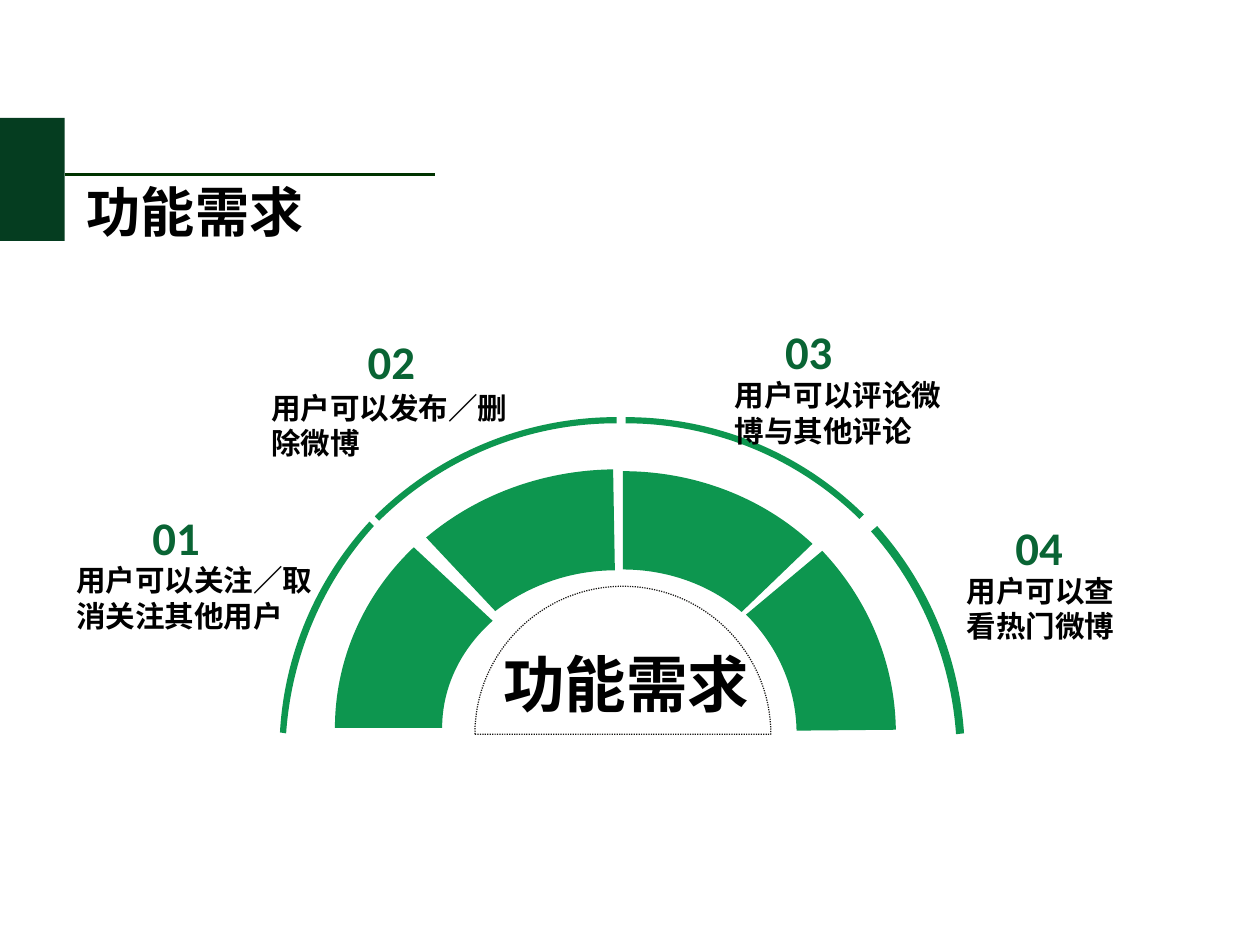
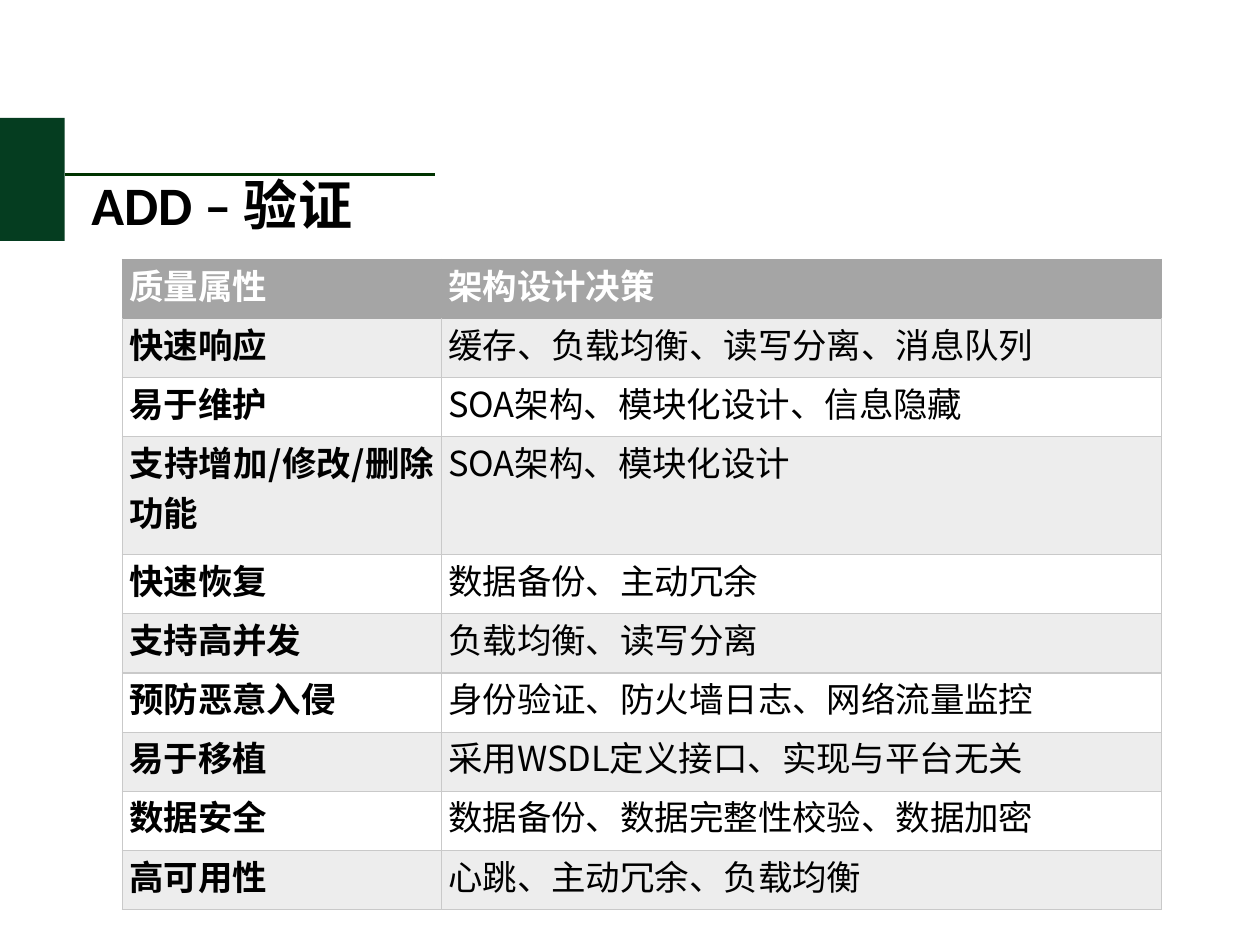
import lxml.etree
import pptx
import pptx.dml.color
import pptx.enum.dml
import pptx.enum.shapes
import pptx.enum.text
import pptx.oxml
import pptx.oxml.ns
import pptx.util

Inches = pptx.util.Inches
qn = pptx.oxml.ns.qn

LATIN = "Calibri"
HAN = "Noto Sans CJK SC"
BLACK, WHITE = "000000", "FFFFFF"
DARK_GREEN, RULE_GREEN, NUMBER_GREEN, GREEN = "053D20", "003300", "096434", "0D964F"
DOT_GRAY, HEADER_GRAY, STRIPE_GRAY, GRID_GRAY = "181715", "A5A5A5", "EDEDED", "C9C9C9"

BANDS = [
    [(3.78, 8.22), (3.78, 7.46), (4.1, 6.72), (4.67, 6.18),
     (5.56, 7.01), (5.2, 7.33), (4.99, 7.76), (4.99, 8.22)],
    [(4.81, 6.07), (5.39, 5.58), (6.14, 5.31), (6.92, 5.3),
     (6.94, 6.44), (6.44, 6.44), (5.97, 6.61), (5.59, 6.9)],
    [(9.17, 6.14), (8.6, 5.61), (7.83, 5.32), (7.03, 5.32),
     (7.03, 6.43), (7.53, 6.43), (8.01, 6.6), (8.37, 6.91)],
    [(10.11, 8.24), (10.1, 7.49), (9.8, 6.77), (9.28, 6.22),
     (8.42, 6.94), (8.78, 7.3), (8.98, 7.76), (8.99, 8.25)],
    [(3.16, 8.27), (3.21, 7.38), (3.57, 6.54), (4.17, 5.89),
     (4.22, 5.94), (3.64, 6.58), (3.29, 7.41), (3.23, 8.28)],
    [(10.88, 8.28), (10.82, 7.41), (10.48, 6.59), (9.9, 5.94),
     (9.83, 6), (10.39, 6.63), (10.73, 7.44), (10.79, 8.29)],
    [(4.23, 5.83), (4.96, 5.11), (5.94, 4.71), (6.96, 4.71),
     (6.96, 4.78), (5.96, 4.78), (5, 5.17), (4.28, 5.88)],
    [(9.75, 5.81), (9.03, 5.1), (8.07, 4.71), (7.06, 4.71),
     (7.06, 4.78), (8.05, 4.78), (9, 5.17), (9.7, 5.86)],
]

DOME = [(5.36, 8.29), (5.36, 7.37), (6.11, 6.62), (7.03, 6.62),
        (7.95, 6.62), (8.7, 7.37), (8.7, 8.29)]

FEATURES = [
    ("01", (1.67, 5.69, 1.28, 0.72), "用户可以关注／取消关注其他用户", (0.81, 6.3, 2.88, 0.92)),
    ("02", (4.1, 3.71, 1.15, 0.72), "用户可以发布／删除微博", (3.01, 4.35, 3.08, 0.92)),
    ("03", (8.81, 3.59, 1.34, 0.72), "用户可以评论微博与其他评论", (8.24, 4.21, 2.49, 0.92)),
    ("04", (11.41, 5.81, 1.05, 0.72), "用户可以查看热门微博", (10.86, 6.42, 1.83, 0.92)),
]

DECISIONS = [
    ("质量属性", "架构设计决策"),
    ("快速响应", "缓存、负载均衡、读写分离、消息队列"),
    ("易于维护", "SOA架构、模块化设计、信息隐藏"),
    ("支持增加/修改/删除功能", "SOA架构、模块化设计"),
    ("快速恢复", "数据备份、主动冗余"),
    ("支持高并发", "负载均衡、读写分离"),
    ("预防恶意入侵", "身份验证、防火墙日志、网络流量监控"),
    ("易于移植", "采用WSDL定义接口、实现与平台无关"),
    ("数据安全", "数据备份、数据完整性校验、数据加密"),
    ("高可用性", "心跳、主动冗余、负载均衡"),
]


def rgb(value):
    return pptx.dml.color.RGBColor.from_string(value)


class Deck:
    def __init__(self):
        self.deck = pptx.Presentation()
        self.deck.slide_width = Inches(14.22)
        self.deck.slide_height = Inches(10.67)
        self.layout = self.deck.slide_layouts[5]
        self.page = None

    def add_page(self, title, area, font=HAN, spacing=1.0):
        first = self.page is None
        self.page = self.deck.slides.add_slide(self.layout)
        if first:
            self.decorate_layout()
        box = self.page.shapes.title
        box.left, box.top, box.width, box.height = map(Inches, area)
        self.fill_text(box.text_frame, title, 44, font)
        box.text_frame.vertical_anchor = pptx.enum.text.MSO_ANCHOR.MIDDLE
        box.text_frame.paragraphs[0].line_spacing = spacing

    def decorate_layout(self):
        block = self.page.shapes.add_shape(
            pptx.enum.shapes.MSO_SHAPE.RECTANGLE, 0, Inches(1.33), Inches(0.73), Inches(1.39))
        self.paint(block, DARK_GREEN)
        rule = self.page.shapes.add_connector(
            pptx.enum.shapes.MSO_CONNECTOR.STRAIGHT,
            Inches(0.73), Inches(1.97), Inches(4.91), Inches(1.97))
        rule.line.color.rgb = rgb(RULE_GREEN)
        rule.line.width = pptx.util.Pt(3)
        lxml.etree.SubElement(rule._element.spPr, qn("a:effectLst"))
        for number, shape in enumerate((block, rule), 101):
            next(shape._element.iter(qn("p:cNvPr"))).set("id", str(number))
            self.layout.shapes._element.append(shape._element)

    def paint(self, shape, color):
        shape.shadow.inherit = False
        shape.fill.solid()
        shape.fill.fore_color.rgb = rgb(color)
        shape.line.fill.background()

    def style(self, para, size, font, color=BLACK, bold=True,
              align=pptx.enum.text.PP_ALIGN.LEFT):
        para.alignment = align
        para.font.size = pptx.util.Pt(size)
        para.font.bold = bold
        para.font.color.rgb = rgb(color)
        para.font.name = font
        latin = para.font._element.find(qn("a:latin"))
        east = pptx.oxml.parse_xml(
            '<a:ea xmlns:a="http://schemas.openxmlformats.org/drawingml/2006/main"'
            f' typeface="{HAN}"/>')
        latin.addnext(east)

    def fill_text(self, frame, text, size, font, color=BLACK):
        frame.text = text
        frame.word_wrap = True
        frame.margin_left = frame.margin_right = Inches(0.05)
        frame.margin_top = frame.margin_bottom = Inches(0.05)
        self.style(frame.paragraphs[0], size, font, color)

    def text(self, text, area, size, font=HAN, color=BLACK, wrap=True):
        box = self.page.shapes.add_textbox(*map(Inches, area))
        self.fill_text(box.text_frame, text, size, font, color)
        box.text_frame.word_wrap = wrap
        box.text_frame.auto_size = pptx.enum.text.MSO_AUTO_SIZE.SHAPE_TO_FIT_TEXT

    def outline(self, start, *segments):
        corners = [(Inches(x), Inches(y)) for x, y in
                   [start] + [segment[-1] for segment in segments]]
        builder = self.page.shapes.build_freeform(*corners[0])
        builder.add_line_segments(corners[1:], close=True)
        shape = builder.convert_to_shape()
        shape.shadow.inherit = False
        lines = list(shape._element.iter(qn("a:lnTo")))
        for line, segment in zip(lines, segments):
            if len(segment) == 3:
                curve = lxml.etree.Element(qn("a:cubicBezTo"))
                for x, y in segment:
                    lxml.etree.SubElement(curve, qn("a:pt"), x=str(Inches(x) - shape.left),
                                          y=str(Inches(y) - shape.top))
                line.getparent().replace(line, curve)
        return shape

    def band(self, points):
        self.paint(self.outline(points[0], points[1:4], points[4:5], points[5:]), GREEN)

    def dome(self, points):
        shape = self.outline(points[0], points[1:4], points[4:])
        shape.fill.background()
        shape.line.color.rgb = rgb(DOT_GRAY)
        shape.line.width = pptx.util.Pt(1)
        shape.line.dash_style = pptx.enum.dml.MSO_LINE.ROUND_DOT

    def border(self, cell, colors):
        props = cell._tc.get_or_add_tcPr()
        for side, color in zip("LRTB", colors):
            edge = lxml.etree.SubElement(props, qn(f"a:ln{side}"), w=str(pptx.util.Pt(1)))
            paint = lxml.etree.SubElement(edge, qn("a:solidFill"))
            lxml.etree.SubElement(paint, qn("a:srgbClr"), val=color)

    def table(self, rows, left, top, widths, heights):
        grid = self.page.shapes.add_table(
            len(rows), len(widths), Inches(left), Inches(top),
            Inches(sum(widths)), Inches(sum(heights))).table
        for column, width in zip(grid.columns, widths):
            column.width = Inches(width)
        for index, (row, height) in enumerate(zip(rows, heights)):
            grid.rows[index].height = Inches(height)
            header = index == 0
            side = HEADER_GRAY if header else GRID_GRAY
            top_edge = HEADER_GRAY if index < 2 else GRID_GRAY
            fill = HEADER_GRAY if header else STRIPE_GRAY if index % 2 else WHITE
            for column, text in enumerate(row):
                cell = grid.cell(index, column)
                cell.text = text
                cell.margin_left = cell.margin_right = Inches(0.08)
                cell.margin_top = cell.margin_bottom = 0
                self.border(cell, (side, side, top_edge, side))
                cell.fill.solid()
                cell.fill.fore_color.rgb = rgb(fill)
                self.style(cell.text_frame.paragraphs[0], 28, HAN,
                           WHITE if header else BLACK, header or column == 0,
                           pptx.enum.text.PP_ALIGN.JUSTIFY)


def main():
    deck = Deck()

    deck.add_page("功能需求", (0.93, 1.9, 4.73, 0.97))
    for points in BANDS[:4]:
        deck.band(points)
    deck.dome(DOME)
    deck.text("功能需求", (5.63, 7.24, 2.9, 1.08), 50, wrap=False)
    for points in BANDS[4:]:
        deck.band(points)
    for number, number_area, feature, feature_area in FEATURES:
        deck.text(feature, feature_area, 24)
        deck.text(number, number_area, 38, LATIN, NUMBER_GREEN)

    deck.add_page("ADD – 验证", (0.98, 1.87, 4.44, 0.96), LATIN, 0.9)
    unit = 7.34 / (len(DECISIONS) + 1)
    heights = [unit * (2 if index == 3 else 1) for index in range(len(DECISIONS))]
    deck.table(DECISIONS, 1.38, 2.93, (3.6, 8.13), heights)

    deck.deck.save("out.pptx")


if __name__ == "__main__":
    main()
